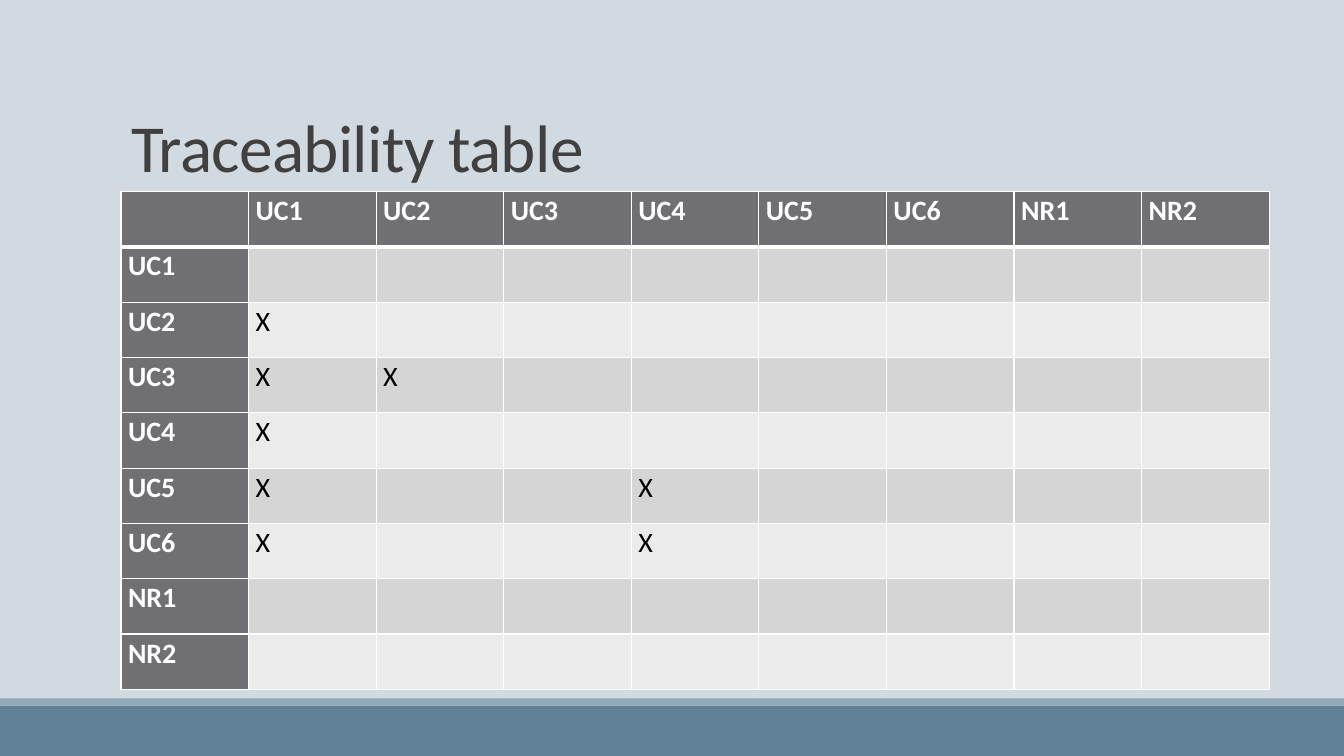
from lxml.etree import SubElement
from pptx import Presentation
from pptx.dml.color import RGBColor
from pptx.enum.shapes import MSO_CONNECTOR, MSO_SHAPE
from pptx.enum.text import MSO_ANCHOR, PP_ALIGN
from pptx.oxml.ns import qn
from pptx.util import Inches, Pt

TITLE = "Traceability table"
ITEMS = ["UC1", "UC2", "UC3", "UC4", "UC5", "UC6", "NR1", "NR2"]
TRACES = {
    "UC2": ["UC1"],
    "UC3": ["UC1", "UC2"],
    "UC4": ["UC1"],
    "UC5": ["UC1", "UC4"],
    "UC6": ["UC1", "UC4"],
}

BACKGROUND = RGBColor(0xD1, 0xD9, 0xE1)
FOOTER = RGBColor(0x61, 0x81, 0x97)
FOOTER_EDGE = RGBColor(0x92, 0xA9, 0xB9)
RULE = RGBColor(0x80, 0x80, 0x80)
TITLE_INK = RGBColor(0x40, 0x40, 0x40)
HEADER = RGBColor(0x6F, 0x6F, 0x74)
BANDS = [RGBColor(0xEB, 0xEB, 0xEB), RGBColor(0xD5, 0xD5, 0xD6)]
WHITE = RGBColor(0xFF, 0xFF, 0xFF)
BLACK = RGBColor(0, 0, 0)

WIDTH, HEIGHT = Inches(13.33), Inches(7.5)
LEFT, TABLE_TOP = Inches(1.2), Inches(1.9)
TABLE_WIDTH, TABLE_HEIGHT = Inches(11.39), Inches(4.94)
BARS = [(7, 0.5, FOOTER), (6.93, 0.07, FOOTER_EDGE)]
CELL_FORMAT = {"margin_left": Inches(0.07), "margin_right": Inches(0.07),
               "margin_top": 0, "margin_bottom": 0}


def write(paragraph, text, color, spacing, **font_format):
    paragraph.line_spacing = spacing
    span = paragraph.add_run()
    span.text = text
    span.font.name = "Calibri"
    span.font.color.rgb = color
    for name, value in font_format.items():
        setattr(span.font, name, value)
    return span


def add_borders(cell, row):
    properties = cell._tc.get_or_add_tcPr()
    widths = {"L": 1, "R": 1, "T": 3 if row == 1 else 1, "B": 3 if row == 0 else 1}
    for side, width in widths.items():
        line = SubElement(properties, qn(f"a:ln{side}"), w=str(Pt(width)))
        SubElement(SubElement(line, qn("a:solidFill")), qn("a:srgbClr"), val=str(WHITE))


def add_backdrop(page):
    page.background.fill.solid()
    page.background.fill.fore_color.rgb = BACKGROUND
    for top, height, color in BARS:
        bar = page.shapes.add_shape(MSO_SHAPE.RECTANGLE, 0, Inches(top), WIDTH, Inches(height))
        bar.shadow.inherit = False
        bar.fill.solid()
        bar.fill.fore_color.rgb = color
        bar.line.fill.background()
    rule = page.shapes.add_connector(
        MSO_CONNECTOR.STRAIGHT, Inches(1.31), TABLE_TOP, Inches(12.21), TABLE_TOP)
    rule.line.color.rgb = RULE
    rule.line.width = Pt(0.5)
    SubElement(rule._element.spPr, qn("a:effectLst"))


def add_title(page):
    box = page.shapes.title
    box.left, box.top, box.width, box.height = LEFT, Inches(0.31), Inches(11), Inches(1.59)
    box.text_frame.vertical_anchor = MSO_ANCHOR.BOTTOM
    paragraph = box.text_frame.paragraphs[0]
    paragraph.alignment = PP_ALIGN.LEFT
    span = write(paragraph, TITLE, TITLE_INK, 0.85, size=Pt(48))
    span.font._element.set("spc", "-50")


def add_matrix(page):
    grid = [[""] + ITEMS]
    for item in ITEMS:
        grid.append([item] + ["X" if target in TRACES.get(item, []) else "" for target in ITEMS])
    count = len(grid)
    table = page.shapes.add_table(
        count, count, LEFT, TABLE_TOP, TABLE_WIDTH, TABLE_HEIGHT).table
    for column in table.columns:
        column.width = TABLE_WIDTH // count
    for row, texts in enumerate(grid):
        table.rows[row].height = TABLE_HEIGHT // count
        for column, text in enumerate(texts):
            cell = table.cell(row, column)
            heading = row == 0 or column == 0
            add_borders(cell, row)
            cell.fill.solid()
            cell.fill.fore_color.rgb = HEADER if heading else BANDS[row % 2]
            for name, value in CELL_FORMAT.items():
                setattr(cell, name, value)
            if text:
                write(cell.text_frame.paragraphs[0], text, WHITE if heading else BLACK,
                      1.07, size=Pt(20), bold=heading)


def main():
    deck = Presentation()
    deck.slide_width, deck.slide_height = WIDTH, HEIGHT
    page = deck.slides.add_slide(deck.slide_layouts[5])
    add_backdrop(page)
    add_title(page)
    add_matrix(page)
    deck.save("out.pptx")


if __name__ == "__main__":
    main()
